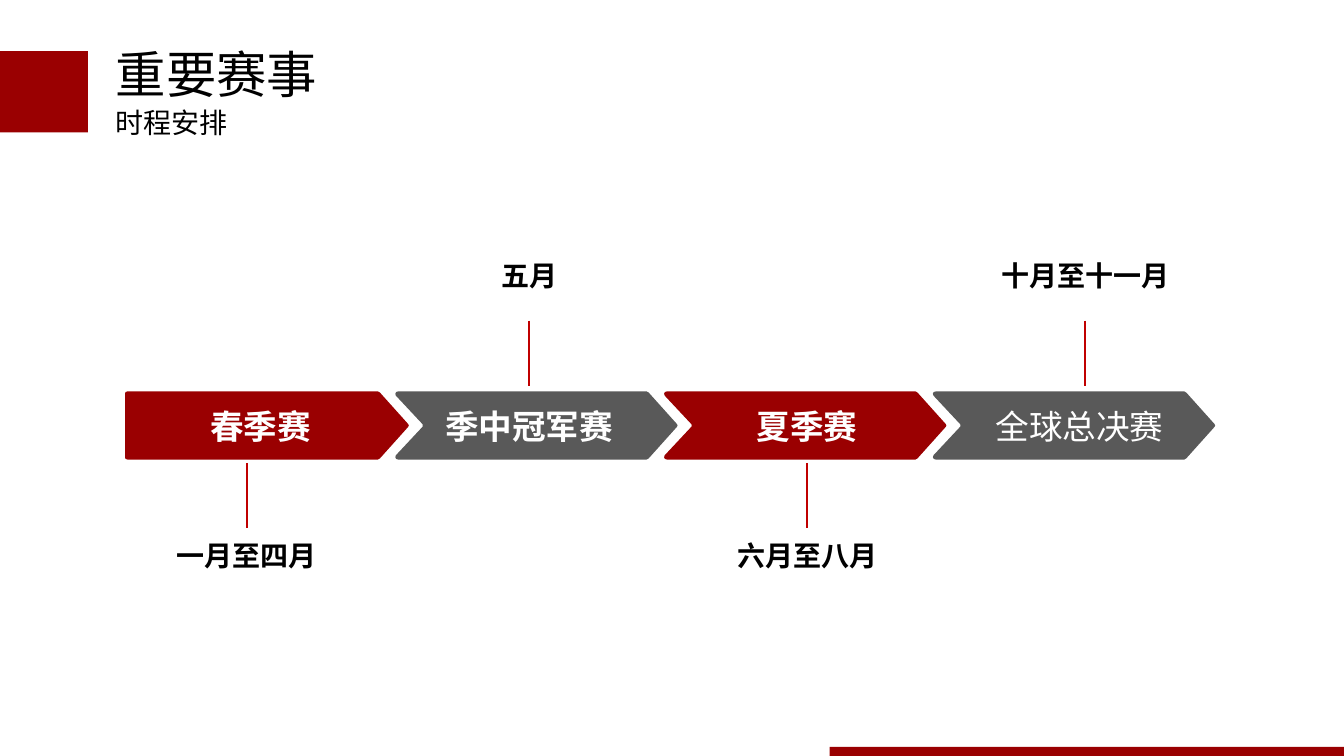
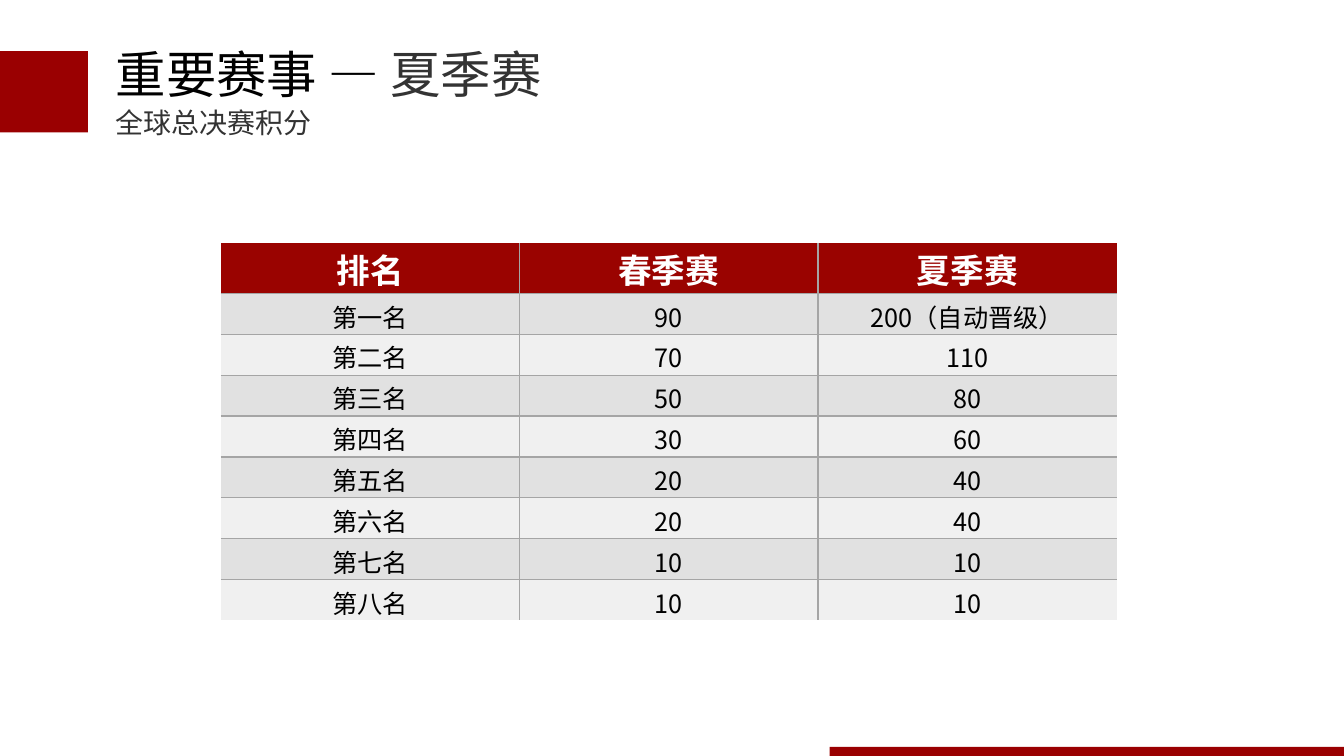
from lxml import etree
from pptx import Presentation
from pptx.dml.color import RGBColor
from pptx.enum.shapes import MSO_CONNECTOR, MSO_SHAPE
from pptx.enum.text import MSO_ANCHOR, PP_ALIGN
from pptx.oxml.ns import qn
from pptx.util import Pt

RED = RGBColor(0x9A, 0x00, 0x01)
HEADER_RED = RGBColor(0x9A, 0x03, 0x00)
LINE_RED = RGBColor(0xC0, 0x00, 0x00)
GREY = RGBColor(0x59, 0x59, 0x59)
DARK = RGBColor(0x33, 0x33, 0x33)
BLACK = RGBColor(0x00, 0x00, 0x00)
WHITE = RGBColor(0xFF, 0xFF, 0xFF)
BORDER = RGBColor(0xA5, 0xA5, 0xA5)
BANDS = (RGBColor(0xE1, 0xE1, 0xE1), RGBColor(0xF0, 0xF0, 0xF0))

FONT = "Noto Sans CJK SC"
LEFT, CENTER = PP_ALIGN.LEFT, PP_ALIGN.CENTER
MIDDLE, BOTTOM = MSO_ANCHOR.MIDDLE, MSO_ANCHOR.BOTTOM
RECTANGLE, STRAIGHT = MSO_SHAPE.RECTANGLE, MSO_CONNECTOR.STRAIGHT

SLIDE_WIDTH, SLIDE_HEIGHT = 960, 540

# Timeline geometry
CHEVRON_TOP, CHEVRON_HEIGHT, CHEVRON_WIDTH = 279.6, 48.6, 201.6
FIRST_TIP, CHEVRON_PITCH = 292, 192
STEM_LENGTH, STEM_GAP = 46.8, 3.1

# Name, centre of the name, date, centre of the date, date above the band, bold name
EVENTS = [
    ("春季赛", 186.1, "一月至四月", 176.4, False, True),
    ("季中冠军赛", 378, "五月", 378, True, True),
    ("夏季赛", 576.4, "六月至八月", 576.7, False, True),
    ("全球总决赛", 771.1, "十月至十一月", 775.2, True, False),
]

POINTS = [
    ("排名", "春季赛", "夏季赛"),
    ("第一名", "90", "200（自动晋级）"),
    ("第二名", "70", "110"),
    ("第三名", "50", "80"),
    ("第四名", "30", "60"),
    ("第五名", "20", "40"),
    ("第六名", "20", "40"),
    ("第七名", "10", "10"),
    ("第八名", "10", "10"),
]


def write_text(frame, *parts, size, color=BLACK, bold=False, align=LEFT):
    """Write one paragraph; a part is a string or a (string, color) pair."""
    paragraph = frame.paragraphs[0]
    paragraph.alignment = align
    for part in parts:
        text, part_color = (part, color) if isinstance(part, str) else part
        run = paragraph.add_run()
        run.text = text
        run.font.size = Pt(size)
        run.font.bold = bold
        run.font.color.rgb = part_color
        run.font.name = FONT
        east_asian = etree.SubElement(run._r.get_or_add_rPr(), qn("a:ea"))
        east_asian.set("typeface", FONT)


def add_label(slide, left, top, width, height, *parts, **text_format):
    frame = slide.shapes.add_textbox(Pt(left), Pt(top), Pt(width), Pt(height)).text_frame
    frame.word_wrap = True
    frame.vertical_anchor = MIDDLE
    write_text(frame, *parts, **text_format)


def paint(shape, color):
    shape.shadow.inherit = False
    shape.fill.solid()
    shape.fill.fore_color.rgb = color
    shape.line.fill.background()


def add_block(slide, left, top, width, height):
    block = slide.shapes.add_shape(RECTANGLE, Pt(left), Pt(top), Pt(width), Pt(height))
    paint(block, RED)


def add_base_slide(presentation, title_parts, subtitle, subtitle_color):
    """Add a slide with the red blocks, title and subtitle."""
    slide = presentation.slides.add_slide(presentation.slide_layouts[6])
    add_block(slide, 0, 36.6, 62.8, 58)
    add_block(slide, 592.6, 533.4, SLIDE_WIDTH - 592.6, SLIDE_HEIGHT - 533.4)
    add_label(slide, 75.6, 26.6, 600, 51.2, *title_parts, size=36)
    add_label(slide, 75.6, 71.3, 402, 31.7, subtitle, size=20, color=subtitle_color)
    return slide


def add_chevron(slide, tip, color, notched):
    """Draw a softened arrow band from its upper half and its mirror image."""
    left, half = tip - CHEVRON_WIDTH, CHEVRON_HEIGHT / 2
    if notched:
        upper = [(left + 19.6, half - 0.8), (left + 0.4, 3), (left, 1.6), (left + 0.6, 0.4), (left + 2, 0)]
    else:
        upper = [(left - 1.1, 1.4), (left - 0.6, 0.4), (left + 0.6, 0)]
    upper += [(tip - 22, 0), (tip - 20.6, 0.8), (tip - 0.4, half - 1), (tip, half)]
    lower = [(x, CHEVRON_HEIGHT - y) for x, y in reversed(upper[:-1])]
    outline = [(Pt(x), Pt(CHEVRON_TOP + y)) for x, y in upper + lower]
    builder = slide.shapes.build_freeform(*outline[0], scale=1.0)
    builder.add_line_segments(outline[1:], close=True)
    paint(builder.convert_to_shape(), color)


def add_stem(slide, x, top):
    stem = slide.shapes.add_connector(STRAIGHT, Pt(x), Pt(top), Pt(x), Pt(top + STEM_LENGTH))
    stem.line.color.rgb = LINE_RED
    stem.line.width = Pt(1.5)
    etree.SubElement(stem._element.spPr, qn("a:effectLst"))


def add_timeline(slide):
    for index, (name, name_center, date, date_center, above, bold) in enumerate(EVENTS):
        tip = FIRST_TIP + index * CHEVRON_PITCH
        add_chevron(slide, tip, GREY if index % 2 else RED, notched=index > 0)
        add_label(slide, name_center - 75, 286.2, 150, 36, name,
                  size=24, color=WHITE, bold=bold, align=CENTER)
        if above:
            stem_top, date_top = CHEVRON_TOP - STEM_GAP - STEM_LENGTH - 0.7, 180.7
        else:
            stem_top, date_top = CHEVRON_TOP + CHEVRON_HEIGHT + STEM_GAP - 0.7, 380.9
        add_stem(slide, date_center, stem_top)
        add_label(slide, date_center - 75, date_top, 150, 31.7, date,
                  size=20, bold=True, align=CENTER)


def set_borders(cell, visible):
    """Draw the named sides of a cell and clear the others."""
    properties = cell._tc.get_or_add_tcPr()
    for position, side in enumerate(("L", "R", "T", "B")):
        line = etree.Element(qn("a:ln" + side), w=str(Pt(1)))
        if side in visible:
            fill = etree.SubElement(line, qn("a:solidFill"))
            etree.SubElement(fill, qn("a:srgbClr"), val=str(BORDER))
        else:
            etree.SubElement(line, qn("a:noFill"))
        properties.insert(position, line)


def add_points_table(slide):
    row_count, column_count = len(POINTS), len(POINTS[0])
    header_height, row_height, width = 36, 29.2, 639.9
    height = header_height + row_height * (row_count - 1)
    table = slide.shapes.add_table(row_count, column_count, Pt(157.7), Pt(173.6),
                                   Pt(width), Pt(height)).table
    table.horz_banding = False
    table.first_row = False
    for column in table.columns:
        column.width = Pt(width / column_count)
    for row_index, values in enumerate(POINTS):
        header = row_index == 0
        table.rows[row_index].height = Pt(header_height if header else row_height)
        for column_index, value in enumerate(values):
            cell = table.cell(row_index, column_index)
            cell.margin_top, cell.margin_bottom = Pt(1), Pt(0)
            cell.vertical_anchor = BOTTOM
            cell.fill.solid()
            cell.fill.fore_color.rgb = HEADER_RED if header else BANDS[(row_index - 1) % 2]
            write_text(cell.text_frame, value, size=24 if header else 18,
                       color=WHITE if header else BLACK, bold=header, align=CENTER)
            inner_sides = {"L": column_index > 0, "R": column_index < column_count - 1,
                           "T": row_index > 0, "B": row_index < row_count - 1}
            set_borders(cell, [side for side, inner in inner_sides.items() if inner])


def main():
    presentation = Presentation()
    presentation.slide_width = Pt(SLIDE_WIDTH)
    presentation.slide_height = Pt(SLIDE_HEIGHT)

    # Season schedule
    add_timeline(add_base_slide(presentation, ["重要赛事"], "时程安排", BLACK))

    # Points by rank
    add_points_table(add_base_slide(presentation, ["重要赛事 — ", ("夏季赛", DARK)],
                                    "全球总决赛积分", DARK))

    presentation.save("out.pptx")


if __name__ == "__main__":
    main()
